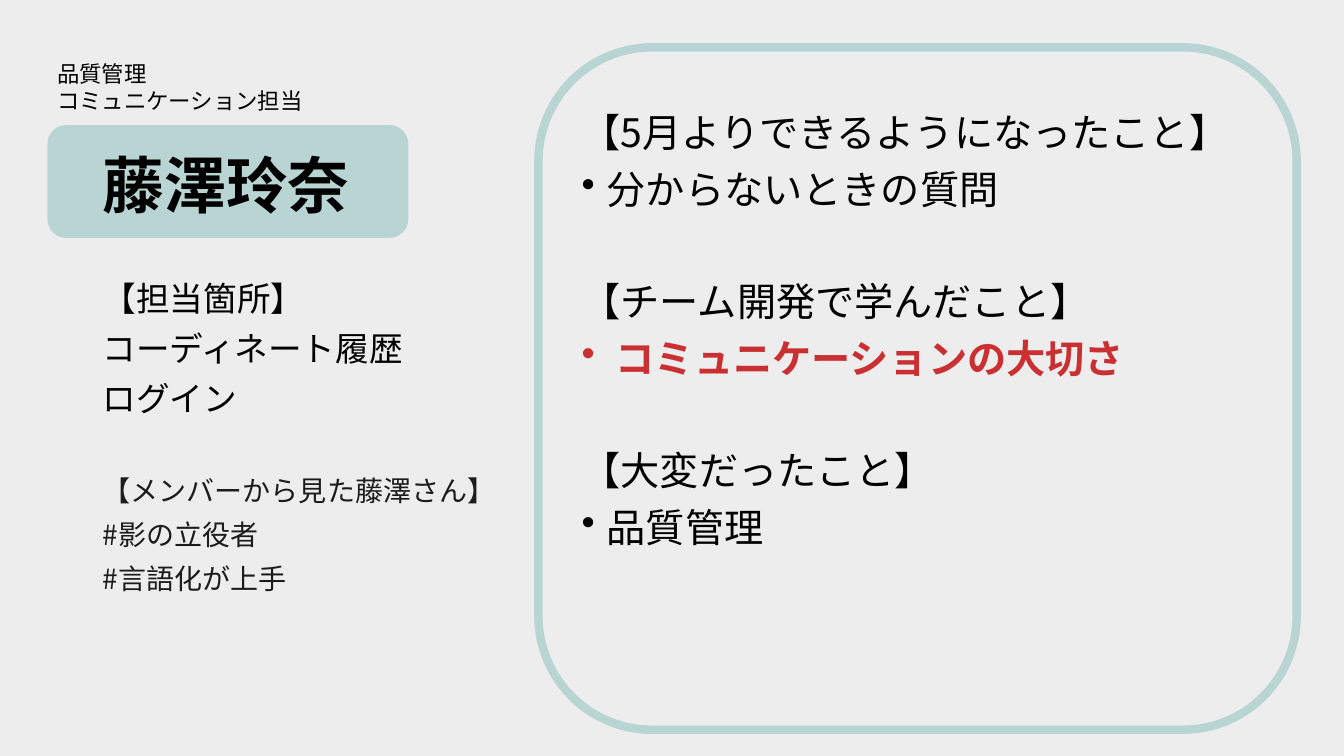
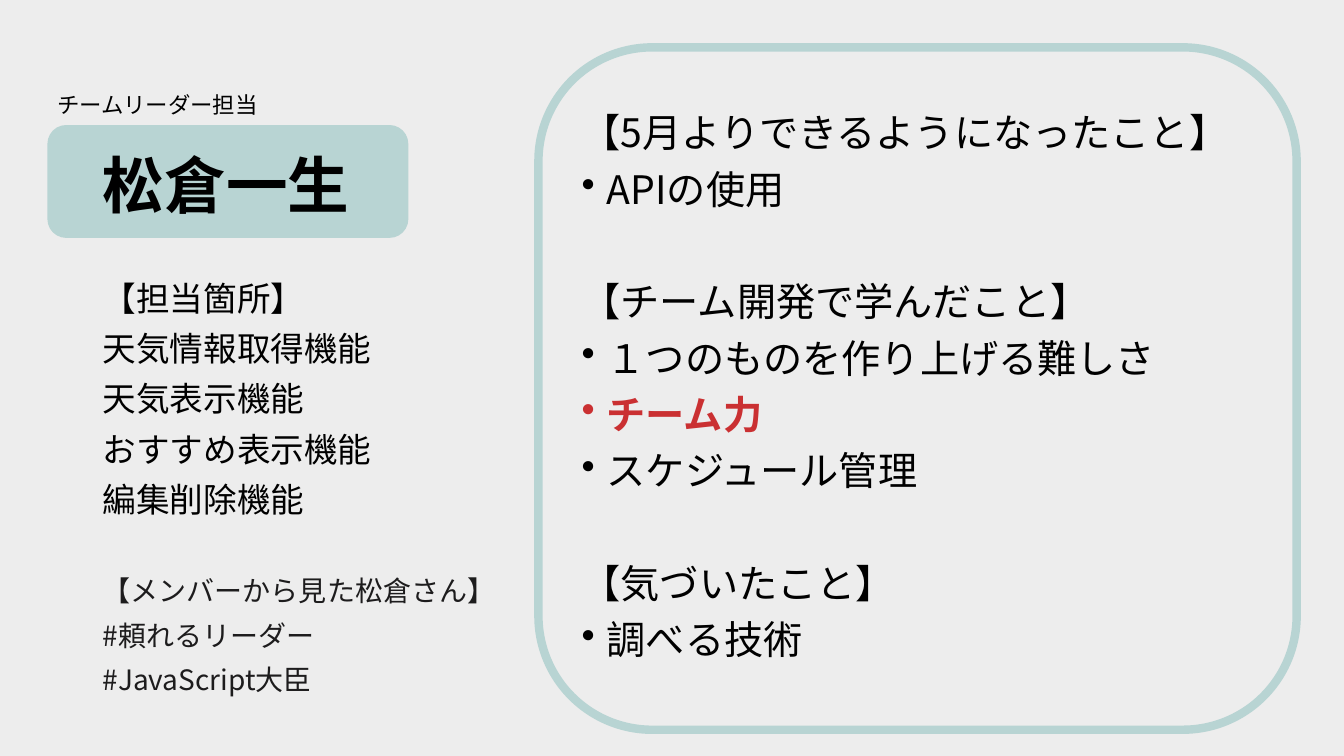
"""Build the member profile slides."""
import pptx
import pptx.dml.color
import pptx.enum.shapes
import pptx.enum.text
import pptx.oxml
import pptx.oxml.ns
import pptx.util
from pptx.util import Inches, Pt

FONT = "Noto Sans CJK JP"
MINT, GRAY, BLACK, INK, RED = "B8D4D3", "EDEDED", "000000", "1D1C1D", "CA3032"
ROUND = pptx.enum.shapes.MSO_SHAPE.ROUNDED_RECTANGLE
LEFT = pptx.enum.text.PP_ALIGN.LEFT
NONE = pptx.enum.text.MSO_AUTO_SIZE.NONE


def tint(code):
    return pptx.dml.color.RGBColor.from_string(code)


def write(frame, text, size, color=BLACK, bold=False, lines=0.9, gap=10, dot=False):
    para = frame.paragraphs[0]
    if para.runs:
        para = frame.add_paragraph()
        para.space_before = Pt(gap)
    para.alignment = LEFT
    para.line_spacing = lines
    run = para.add_run()
    run.text = text
    font = run.font
    font.name, font.size, font.bold = FONT, Pt(size), bold
    font.color.rgb = tint(color)
    east = pptx.oxml.parse_xml(
        f'<a:ea {pptx.oxml.ns.nsdecls("a")} typeface="{FONT}"/>')
    run.font._element.find(pptx.oxml.ns.qn("a:latin")).addnext(east)
    if dot:
        props = para._p.get_or_add_pPr()
        props.set("marL", str(Inches(0.25)))
        props.set("indent", str(Inches(-0.25)))
        props.append(pptx.oxml.parse_xml(
            f'<a:buChar {pptx.oxml.ns.nsdecls("a")} char="•"/>'))


members = [
    {
        "name": "藤澤玲奈",
        "roles": ["品質管理", "コミュニケーション担当"],
        "parts": ["コーディネート履歴", "ログイン"],
        "voice": ["【メンバーから見た藤澤さん】", "#影の立役者", "#言語化が上手"],
        "tall": 4.17,
        "hot": " コミュニケーションの大切さ",
        "notes": [
            ("【5月よりできるようになったこと】", ["分からないときの質問"]),
            ("【チーム開発で学んだこと】", [" コミュニケーションの大切さ"]),
            ("【大変だったこと】", ["品質管理"]),
        ],
    },
    {
        "name": "松倉一生",
        "roles": ["チームリーダー担当"],
        "parts": ["天気情報取得機能", "天気表示機能", "おすすめ表示機能", "編集削除機能"],
        "voice": ["【メンバーから見た松倉さん】", "#頼れるリーダー", "#JavaScript大臣"],
        "tall": 4.78,
        "hot": "チーム力",
        "notes": [
            ("【5月よりできるようになったこと】", ["APIの使用"]),
            ("【チーム開発で学んだこと】",
             ["１つのものを作り上げる難しさ", "チーム力", "スケジュール管理"]),
            ("【気づいたこと】", ["調べる技術"]),
        ],
    },
]

deck = pptx.Presentation()
deck.slide_width, deck.slide_height = Inches(13.33), Inches(7.5)
back = deck.slide_master.background.fill
back.solid()
back.fore_color.rgb = tint(GRAY)

for member in members:
    slide = deck.slides.add_slide(deck.slide_layouts[5])
    shapes = slide.shapes

    title = shapes.title
    title.left, title.top = Inches(0.92), Inches(0.5)
    title.width, title.height = Inches(4.3), Inches(1.75)
    frame = title.text_frame
    frame.auto_size = NONE
    frame.vertical_anchor = pptx.enum.text.MSO_ANCHOR.BOTTOM
    write(frame, member["name"], 44, bold=True)

    plate = shapes.add_shape(ROUND, Inches(0.47), Inches(1.24), Inches(3.58), Inches(1.12))
    plate.shadow.inherit = False
    plate.fill.solid()
    plate.fill.fore_color.rgb = tint(MINT)
    plate.line.fill.background()
    title.element.addprevious(plate.element)

    frame = shapes.add_textbox(
        Inches(5.67), Inches(1.08), Inches(6.75), Inches(5.95)).text_frame
    frame.word_wrap = True
    for head, items in member["notes"]:
        write(frame, head, 28, gap=50.3)
        for item in items:
            hot = item == member["hot"]
            write(frame, item, 28, RED if hot else BLACK, hot, dot=True)

    frame = shapes.add_textbox(
        Inches(0.92), Inches(2.25), Inches(4.3), Inches(member["tall"])).text_frame
    frame.word_wrap = True
    frame.margin_top = Inches(0.55)
    for part in ["【担当箇所】"] + member["parts"]:
        write(frame, part, 24)
    for step, line in enumerate(member["voice"]):
        write(frame, line, 20, INK, gap=10 if step else 41.5)

    panel = shapes.add_shape(ROUND, Inches(5.34), Inches(0.47), Inches(7.52), Inches(6.77))
    panel.shadow.inherit = False
    panel.fill.background()
    panel.line.color.rgb = tint(MINT)
    panel.line.width = Pt(6)

    count = len(member["roles"])
    frame = shapes.add_textbox(
        Inches(0.47), Inches(1.17 - 0.31 * count),
        Inches(6.67), Inches(0.1 + 0.27 * count)).text_frame
    frame.word_wrap = True
    for role in member["roles"]:
        write(frame, role, 16, lines=1.0, gap=0)

deck.save("out.pptx")
